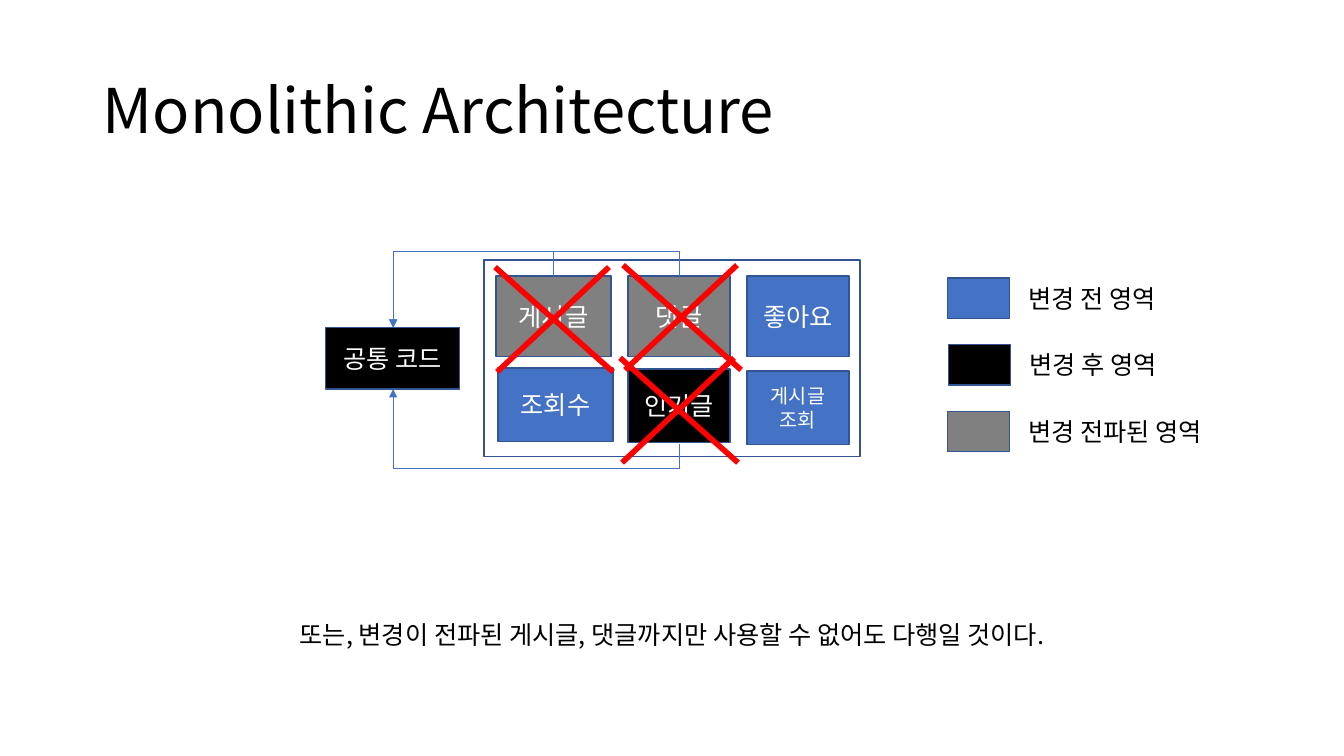
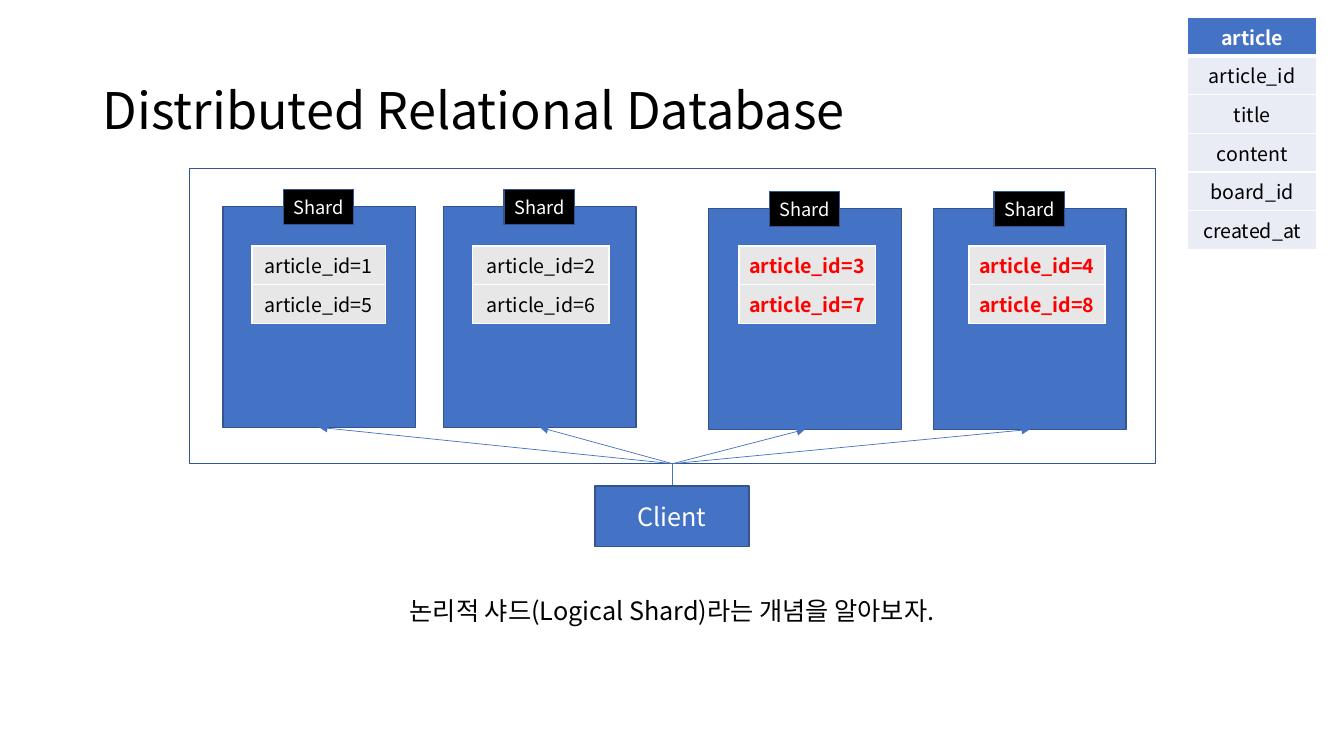
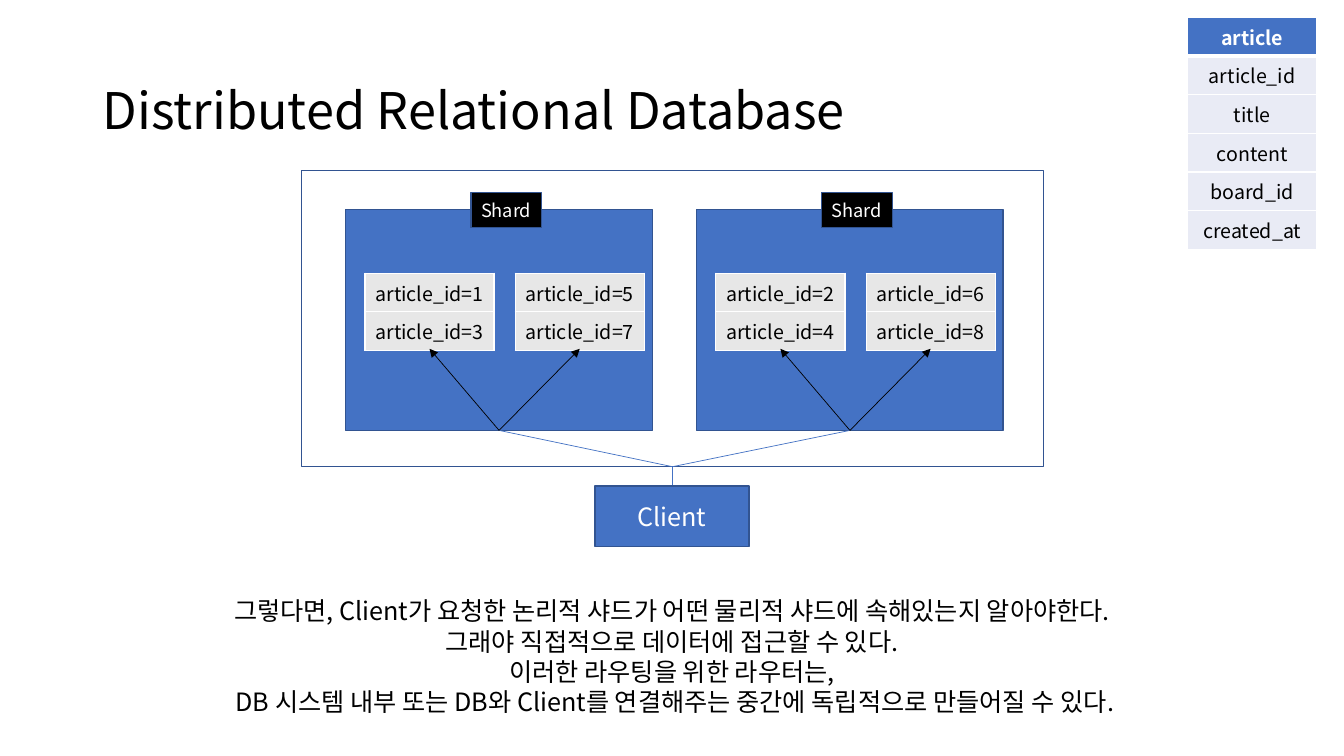
from lxml import etree
from pptx import Presentation
from pptx.dml.color import RGBColor
from pptx.enum import shapes as sh, text as tx
from pptx.oxml.ns import qn
from pptx.util import Inches, Pt

FONT = "Noto Sans CJK KR"
HEX = {
    "blue": "4472C4", "edge": "325491", "black": "000000", "white": "FFFFFF",
    "gray": "808080", "red": "FF0000", "pale": "E9EBF5", "ash": "E7E7E7",
}
MID = tx.PP_ALIGN.CENTER
LEFT = tx.PP_ALIGN.LEFT
FIELDS = ["article", "article_id", "title", "content", "board_id", "created_at"]


def tint(name):
    """Return the named colour."""
    return RGBColor.from_string(HEX[name])


def sub(node, tag, **attrs):
    """Append an XML child with attributes."""
    return etree.SubElement(node, qn(tag), attrs)


def write(frame, lines, size, color="black", align=MID, bold=False):
    """Fill a text frame, one paragraph for each line."""
    for i, line in enumerate(lines):
        para = frame.add_paragraph() if i else frame.paragraphs[0]
        para.alignment = align
        run = para.add_run()
        run.text = line
        font = run.font
        font.size, font.bold, font.name = Pt(size), bold, FONT
        font.color.rgb = tint(color)
        sub(run.font._element, "a:ea", typeface=FONT)


def page(deck, title, size):
    """Add a slide with its title."""
    slide = deck.slides.add_slide(deck.slide_layouts[5])
    head = slide.shapes.title
    head.left, head.top = Inches(0.92), Inches(0.4)
    head.width, head.height = Inches(11.5), Inches(1.45)
    frame = head.text_frame
    frame.auto_size = tx.MSO_AUTO_SIZE.NONE
    frame.vertical_anchor = tx.MSO_ANCHOR.MIDDLE
    write(frame, [title], size, align=LEFT)
    frame.paragraphs[0].line_spacing = 0.9
    return slide


def box(slide, x, y, w, h, fill=None, lines=(), size=18):
    """Draw an edged rectangle with centred text."""
    rect = slide.shapes.add_shape(
        sh.MSO_SHAPE.RECTANGLE, Inches(x), Inches(y), Inches(w), Inches(h))
    rect.shadow.inherit = False
    if fill:
        rect.fill.solid()
        rect.fill.fore_color.rgb = tint(fill)
    else:
        rect.fill.background()
    rect.line.color.rgb = tint("edge")
    rect.line.width = Pt(1)
    rect.text_frame.word_wrap = False
    rect.text_frame.vertical_anchor = tx.MSO_ANCHOR.MIDDLE
    write(rect.text_frame, lines, size, "white")


def label(slide, x, y, w, h, lines, align=MID, wrap=True):
    """Place plain text."""
    area = slide.shapes.add_textbox(Inches(x), Inches(y), Inches(w), Inches(h))
    area.text_frame.word_wrap = wrap
    write(area.text_frame, lines, 18, align=align)


def link(slide, start, end, color="blue", width=0.5, arrow=True, kind="STRAIGHT"):
    """Draw a connector, with an arrowhead at its end if asked."""
    line = slide.shapes.add_connector(
        sh.MSO_CONNECTOR[kind], *map(Inches, (*start, *end)))
    line.line.color.rgb = tint(color)
    line.line.width = Pt(width)
    props = line._element.spPr
    if arrow:
        sub(props.get_or_add_ln(), "a:tailEnd", type="triangle")
    sub(props, "a:effectLst")
    return line


def bend(slide, start, end, gap=0.25):
    """Draw an elbow arrow that leaves upright, away from its end."""
    (x1, y1), (x2, y2) = start, end
    w, h = abs(y2 - y1), abs(x2 - x1)
    cx, cy = (x1 + x2) / 2, (y1 + y2) / 2
    line = link(slide, (cx - w / 2, cy - h / 2), (cx + w / 2, cy + h / 2), kind="ELBOW")
    props = line._element.spPr
    rise = y2 < y1
    form = props.find(qn("a:xfrm"))
    form.set("rot", str((90 if rise else 270) * 60000))
    form.set("flipH", "1")
    form.set("flipV", "0" if rise else "1")
    guides = props.find(qn("a:prstGeom")).find(qn("a:avLst"))
    sub(guides, "a:gd", name="adj1", fmla=f"val {round(-gap / w * 100000)}")


def cross(slide, x, y):
    """Strike out a part with two red strokes."""
    for start, end in (((x + 1.13, y), (x + 0.02, y + 1.04)),
                       ((x, y), (x + 1.17, y + 1.04))):
        link(slide, start, end, "red", 4, False)


def grid(slide, x, y, w, rows, color="black", bold=False, fill="ash", head=False):
    """Add a one-column table, with a header row if asked."""
    high = 0.375
    table = slide.shapes.add_table(
        len(rows), 1, Inches(x), Inches(y), Inches(w), Inches(high * len(rows))).table
    table.first_row = table.horz_banding = False
    for i, word in enumerate(rows):
        top = head and i == 0
        cell = table.cell(i, 0)
        write(cell.text_frame, [word], 14, "white" if top else color, bold=bold or top)
        props = cell._tc.get_or_add_tcPr()
        for side in "LRTB":
            thick = (side == "B" and top) or (side == "T" and head and i == 1)
            edge = sub(props, f"a:ln{side}", w=str(Pt(3 if thick else 1)))
            sub(sub(edge, "a:solidFill"), "a:srgbClr", val=HEX["white"])
        cell.fill.solid()
        cell.fill.fore_color.rgb = tint("blue" if top else fill)


def shard(slide, x, y, w, shift):
    """Draw a shard with its tag and return the middle of its base."""
    box(slide, x, y, w, 2.19, "blue")
    box(slide, x + shift, y - 0.17, 0.7, 0.35, "black", ["Shard"], 13)
    return x + w / 2, y + 2.19


def system(slide, x, y, w, h):
    """Frame the shards, add the client and return the hub."""
    box(slide, x, y, w, h)
    hub = (6.67, y + h)
    link(slide, hub, (6.67, 4.82), arrow=False)
    box(slide, 5.9, 4.82, 1.53, 0.6, "blue", ["Client"])
    grid(slide, 11.78, 0.17, 1.28, FIELDS, fill="pale", head=True)
    return hub


def legend(slide, x, y):
    """List the meaning of the fills."""
    keys = [("blue", "변경 전 영역", 0), ("black", "변경 후 영역", 0.01),
            ("gray", "변경 전파된 영역", 0)]
    for i, (fill, words, shift) in enumerate(keys):
        top = y + 0.66 * i
        box(slide, x + shift, top, 0.61, 0.4, fill)
        label(slide, x + shift + 0.7, top, 2.15, 0.4, [words], LEFT, False)


def mono(deck):
    """Build the monolith slide."""
    slide = page(deck, "Monolithic Architecture", 44)
    x, y = 4.8, 2.58
    box(slide, x, y, 3.73, 1.95)
    parts = [
        (0.12, 0.16, 1.14, 0.8, "gray", ["게시글"], 18),
        (1.43, 0.16, 1.01, 0.8, "gray", ["댓글"], 18),
        (2.61, 0.16, 1.01, 0.8, "blue", ["좋아요"], 18),
        (0.14, 1.07, 1.14, 0.73, "blue", ["조회수"], 18),
        (1.43, 1.08, 1.01, 0.73, "black", ["인기글"], 18),
        (2.61, 1.1, 1.01, 0.73, "blue", ["게시글", "조회"], 14),
    ]
    for dx, dy, *rest in parts:
        box(slide, x + dx, y + dy, *rest)
    box(slide, 3.23, 3.25, 1.33, 0.61, "black", ["공통 코드"])
    bend(slide, (6.74, 4.4), (3.9, 3.86))
    for left in (6.74, 5.49):
        bend(slide, (left, 2.74), (3.9, 3.25))
    legend(slide, 9.4, 2.76)
    for spot in ((6.15, 3.55), (4.91, 2.65), (6.18, 2.63)):
        cross(slide, *spot)
    label(slide, 0, 6.09, 13.33, 0.4,
          ["또는, 변경이 전파된 게시글, 댓글까지만 사용할 수 없어도 다행일 것이다."])


def four(deck):
    """Build the slide with four shards."""
    slide = page(deck, "Distributed Relational Database", 36)
    hub = system(slide, 1.88, 1.67, 9.58, 2.93)
    shards = [(2.21, 2.05, 2.5, 1.32), (4.4, 2.05, 4.69, 1.35),
              (7.03, 2.07, 7.33, 1.35), (9.26, 2.07, 9.61, 1.35)]
    for i, (x, y, left, w) in enumerate(shards, 1):
        link(slide, hub, shard(slide, x, y, 1.91, 0.6))
        late = i > 2
        grid(slide, left, 2.44, w, [f"article_id={n}" for n in (i, i + 4)],
             "red" if late else "black", late)
    label(slide, 0, 5.86, 13.33, 0.4,
          ["논리적 샤드(Logical Shard)라는 개념을 알아보자."])


def two(deck):
    """Build the slide with two shards of two logical parts."""
    slide = page(deck, "Distributed Relational Database", 36)
    hub = system(slide, 2.99, 1.69, 7.36, 2.94)
    for i, x in enumerate((3.43, 6.91), 1):
        base = shard(slide, x, 2.08, 3.04, 1.24)
        link(slide, hub, base, arrow=False)
        for j, dx in enumerate((0.19, 1.68)):
            first = i + 4 * j
            grid(slide, x + dx, 2.71, 1.28,
                 [f"article_id={n}" for n in (first, first + 2)])
            link(slide, base, (x + dx + 0.64, 3.46), "black")
    label(slide, 0, 5.86, 13.33, 1.31, [
        "그렇다면, Client가 요청한 논리적 샤드가 어떤 물리적 샤드에 속해있는지 알아야한다.",
        "그래야 직접적으로 데이터에 접근할 수 있다.",
        "이러한 라우팅을 위한 라우터는,",
        " DB 시스템 내부 또는 DB와 Client를 연결해주는 중간에 독립적으로 만들어질 수 있다.",
    ])


def main():
    """Build and save the deck."""
    deck = Presentation()
    deck.slide_width, deck.slide_height = Inches(13.33), Inches(7.5)
    for build in (mono, four, two):
        build(deck)
    deck.save("out.pptx")


if __name__ == "__main__":
    main()
